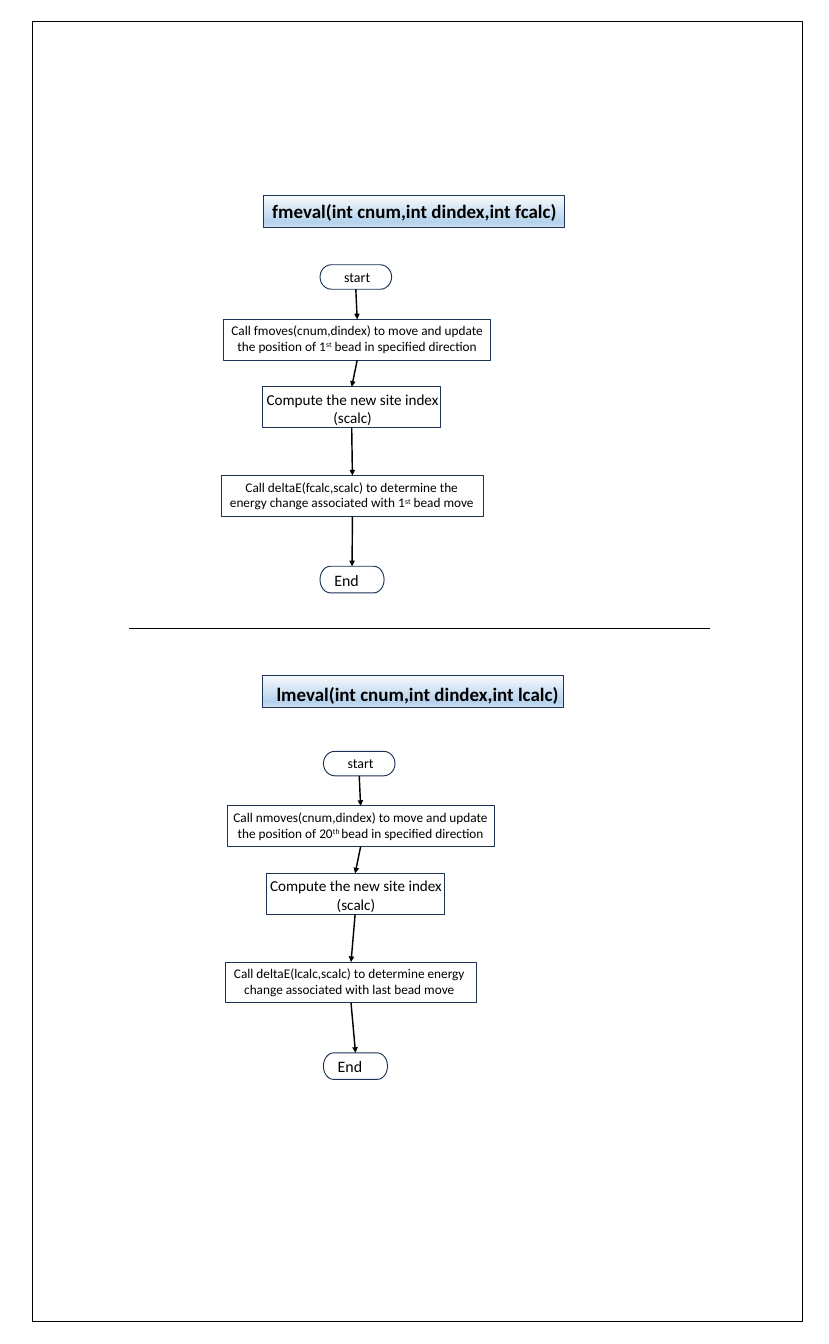
"""Build a slide with the flowcharts of the fmeval and lmeval functions."""
from copy import deepcopy
from dataclasses import dataclass
from itertools import pairwise

from pptx import Presentation
from pptx.dml.color import RGBColor
from pptx.enum.shapes import MSO_CONNECTOR, MSO_SHAPE
from pptx.enum.text import MSO_ANCHOR, MSO_AUTO_SIZE, PP_ALIGN
from pptx.oxml.ns import qn
from pptx.oxml.xmlchemy import OxmlElement
from pptx.shapes.autoshape import Shape
from pptx.shapes.connector import Connector
from pptx.slide import Slide
from pptx.util import Pt

RECT = MSO_SHAPE.RECTANGLE
TERMINATOR = MSO_SHAPE.FLOWCHART_TERMINATOR
STRAIGHT = MSO_CONNECTOR.STRAIGHT
LEFT, CENTER = PP_ALIGN.LEFT, PP_ALIGN.CENTER
TOP_ANCHOR, NO_AUTOFIT = MSO_ANCHOR.TOP, MSO_AUTO_SIZE.NONE
BOTTOM_SITE, TOP_SITE = 2, 0
BLACK, NAVY = "000000", "1E3256"
BAR_STOPS = [(0, "F7FAFD"), (0.83, "B5D2EC"), (1, "CEE1F2")]
FONT = "Calibri"


@dataclass(frozen=True)
class Node:
    box: tuple[float, float, float, float]
    runs: tuple[str, ...]
    size: float = 14
    margins: tuple[float, float, float] = (3.6, 3.6, 3.6)
    kind: MSO_SHAPE = RECT
    align: PP_ALIGN = CENTER
    bold: bool = False


@dataclass(frozen=True)
class Chart:
    title: Node
    dx: float
    dy: float
    move: tuple[str, ...]
    energy: Node


CHARTS = [
    Chart(
        Node((277.9, 206.6, 317.5, 33.8), ("fmeval(int cnum,int dindex,int fcalc)",),
             20, (4.3, 3.6, 2.9), bold=True),
        0, 0,
        ("Call fmoves(cnum,dindex) to move and update the position of 1", "st",
         " bead in specified direction"),
        Node((234, 501.8, 275.8, 43.2),
             ("Call deltaE(fcalc,scalc) to determine the energy change associated with 1",
              "st", " bead move"), margins=(5.8, 3.6, 7.2)),
    ),
    Chart(
        Node((277.2, 712.8, 317.5, 33.8), ("lmeval(int cnum,int dindex,int lcalc)",),
             20, (9.4, 7.2, 0), bold=True),
        3.6, 513.5,
        ("Call nmoves(cnum,dindex) to move and update the position of 20", "th ",
         "bead in specified direction"),
        Node((234, 501.8, 265.7, 43.2),
             ("Call deltaE(lcalc,scalc) to determine energy change associated with "
              "last bead move",), margins=(3.6, 3.6, 7.2)),
    ),
]


def rgb(color: str) -> RGBColor:
    """Turn a hex string into a colour."""
    return RGBColor.from_string(color)


def place(sp: Shape, box: tuple[float, ...]) -> None:
    """Move and size a shape in points."""
    for name, value in zip(("left", "top", "width", "height"), box):
        setattr(sp, name, Pt(value))


def outline(sp: Shape, color: str) -> None:
    """Give a shape a thin line, no fill and no shadow."""
    sp.shadow.inherit = False
    sp.fill.background()
    sp.line.color.rgb = rgb(color)
    sp.line.width = Pt(1)


def write(sp: Shape, node: Node) -> None:
    """Write the runs of a node, every second one as superscript."""
    left, top, right = node.margins
    tf = sp.text_frame
    frame_format = {
        "word_wrap": True, "auto_size": NO_AUTOFIT,
        "vertical_anchor": TOP_ANCHOR, "margin_left": Pt(left),
        "margin_top": Pt(top), "margin_right": Pt(right), "margin_bottom": Pt(0),
    }
    for name, value in frame_format.items():
        setattr(tf, name, value)
    p = tf.paragraphs[0]
    p.alignment = node.align
    font_format = {"name": FONT, "size": Pt(node.size), "bold": node.bold}
    for i, text in enumerate(node.runs):
        r = p.add_run()
        r.text = text
        for name, value in font_format.items():
            setattr(r.font, name, value)
        r.font.color.rgb = rgb(BLACK)
        if i % 2:
            r._r.get_or_add_rPr().set("baseline", "30000")


def draw_node(s: Slide, node: Node, dx: float = 0, dy: float = 0) -> Shape:
    """Draw one outlined shape with its text."""
    x, y, w, h = node.box
    sp = s.shapes.add_shape(node.kind, Pt(x + dx), Pt(y + dy), Pt(w), Pt(h))
    outline(sp, NAVY)
    write(sp, node)
    return sp


def shade(sp: Shape) -> None:
    """Fill a title bar with the vertical blue gradient."""
    sp.fill.gradient()
    sp.fill.gradient_angle = 270
    gs_list = sp._element.spPr.find(".//" + qn("a:gsLst"))
    gs_list.append(deepcopy(gs_list[0]))
    for stop, (position, color) in zip(sp.fill.gradient_stops, BAR_STOPS):
        stop.position = position
        stop.color.rgb = rgb(color)


def draw_line(s: Slide, box: tuple[float, ...], width: float) -> Connector:
    """Draw a black straight connector between two points."""
    line = s.shapes.add_connector(STRAIGHT, *map(Pt, box))
    line.line.color.rgb = rgb(BLACK)
    line.line.width = Pt(width)
    line._element.spPr.append(OxmlElement("a:effectLst"))
    return line


def draw_arrow(s: Slide, start: Shape, end: Shape) -> None:
    """Join the bottom of one shape to the top of the next."""
    arrow = draw_line(s, (0, 0, 0, 0), 1.5)
    arrow.begin_connect(start, BOTTOM_SITE)
    arrow.end_connect(end, TOP_SITE)
    tail = OxmlElement("a:tailEnd")
    tail.set("type", "triangle")
    arrow.line._get_or_add_ln().append(tail)


def draw_chart(s: Slide, chart: Chart) -> None:
    """Draw the five steps of a function and the arrows between them."""
    steps = [
        Node((337.7, 279.4, 75.6, 25.9), ("start",), 14.7, (2.9, 0, 0), TERMINATOR),
        Node((236.2, 337, 281.5, 43.2), chart.move),
        Node((277.2, 408.2, 187.9, 43.2), ("Compute the new site index (scalc)",), 16,
             (2.5, 3.6, 0.7)),
        chart.energy,
        Node((337.7, 597.6, 67.7, 28.1), ("End",), 16.8, (11.9, 0, 0), TERMINATOR, LEFT),
    ]
    shapes = [draw_node(s, step, chart.dx, chart.dy) for step in steps]
    for start, end in pairwise(shapes):
        draw_arrow(s, start, end)


def main() -> None:
    """Build and save the slide."""
    prs = Presentation()
    prs.slide_width, prs.slide_height = Pt(874.8), Pt(1418.4)
    s = prs.slides.add_slide(prs.slide_layouts[5])
    first, second = CHARTS
    title = s.shapes.title
    place(title, first.title.box)
    outline(title, NAVY)
    write(title, first.title)
    for bar in (title, draw_node(s, second.title)):
        shade(bar)
    for chart in CHARTS:
        draw_chart(s, chart)
    draw_line(s, (136.1, 663.1, 749.5, 663.1), 0.5)
    frame = s.shapes.add_shape(RECT, Pt(34.6), Pt(23), Pt(812.2), Pt(1371.6))
    outline(frame, BLACK)
    prs.save("out.pptx")


if __name__ == "__main__":
    main()
